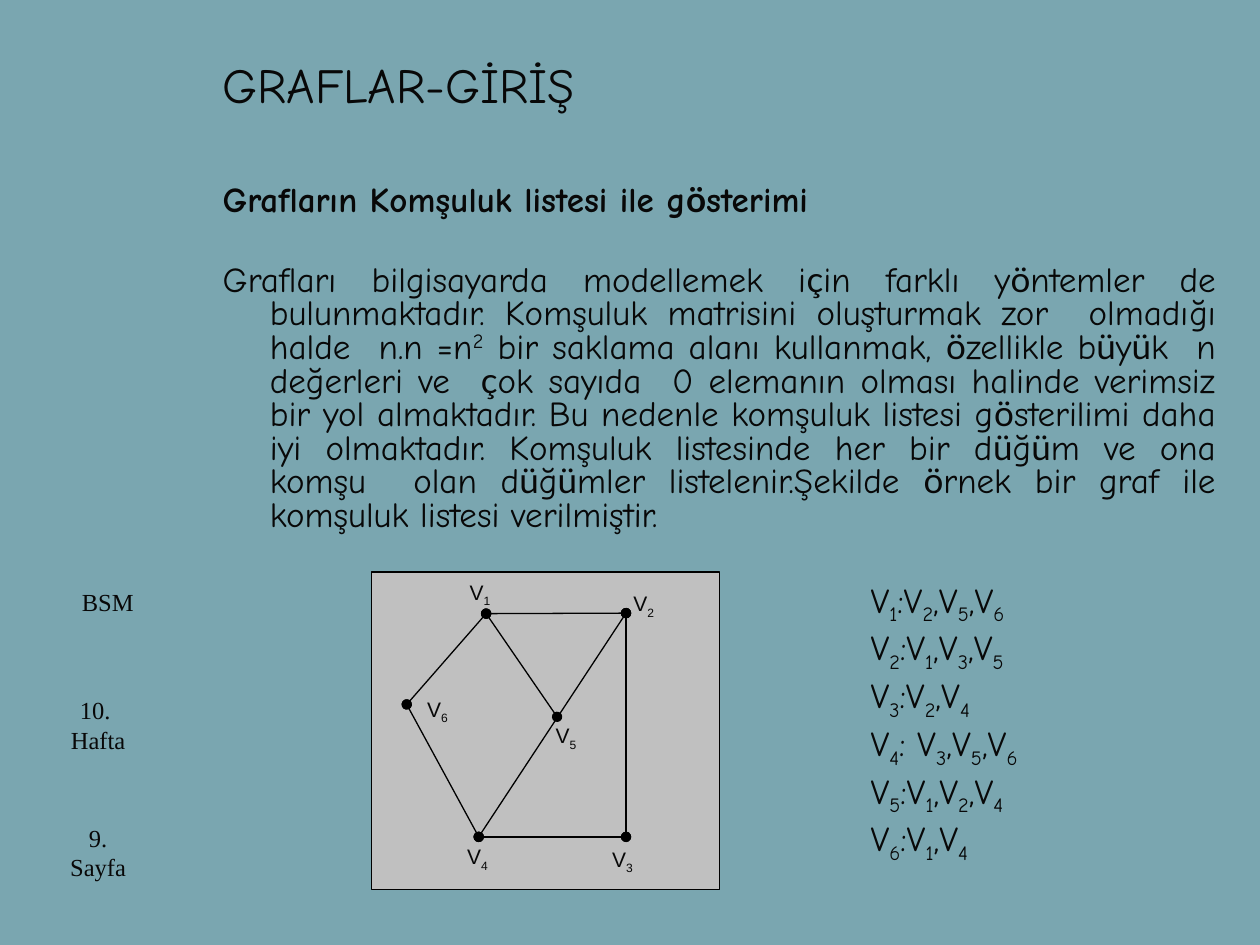
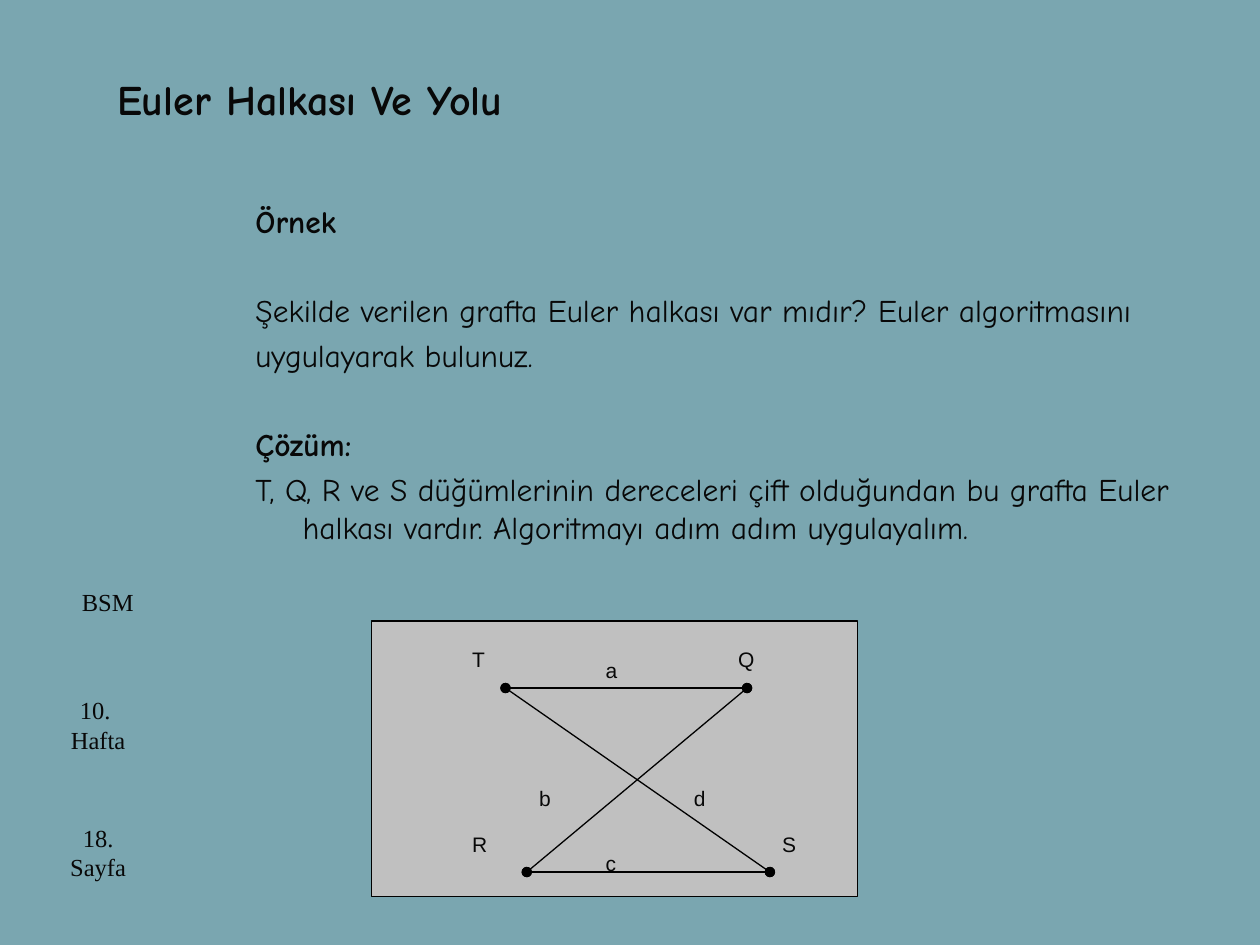
from itertools import groupby
from pptx import Presentation
from pptx.dml.color import RGBColor as RGB
from pptx.enum.shapes import MSO_CONNECTOR as LINK, MSO_SHAPE as SHAPE
from pptx.enum.text import MSO_ANCHOR as ANCHOR, PP_ALIGN as ALIGN
from pptx.oxml.ns import qn
from pptx.util import Cm, Pt
from lxml.etree import SubElement as Sub

TEAL = RGB(0x7A, 0xA6, 0xB0)
GREY = RGB(0xC0, 0xC0, 0xC0)
INK = RGB(0x08, 0x08, 0x08)
BLACK = RGB(0, 0, 0)
COMIC, LATO, ARIAL, TIMES = "Comic Neue", "Lato", "Arial", "Times New Roman"
LOW = "₁₂₃₄₅₆"
HIGH = "²"


def add_slide(deck):
    slide = deck.slides.add_slide(deck.slide_layouts[6])
    slide.background.fill.solid()
    slide.background.fill.fore_color.rgb = TEAL
    return slide


def add_runs(par, text, size, face, bold=False, odd=""):
    def kind(char):
        if char in LOW:
            return "low"
        if char in HIGH:
            return "high"
        return "odd" if char in odd else "plain"

    for sort, chars in groupby(text, kind):
        run = par.add_run()
        run.text = "".join(chars)
        if sort == "low":
            run.text = "".join(str(LOW.index(char) + 1) for char in run.text)
            run._r.get_or_add_rPr().set("baseline", "-25000")
        elif sort == "high":
            run.text = "2"
            run._r.get_or_add_rPr().set("baseline", "30000")
        font = run.font
        font.name = LATO if sort == "odd" else face
        font.size = Pt(size)
        font.bold = bold
        font.color.rgb = INK


def add_box(shapes, area, wrap=True):
    frame = shapes.add_textbox(*map(Cm, area)).text_frame
    frame.word_wrap = wrap
    return frame


def add_text(shapes, area, lines, size, face, bold=False, wrap=True, align=None):
    frame = add_box(shapes, area, wrap)
    for at, line in enumerate(lines):
        par = frame.add_paragraph() if at else frame.paragraphs[0]
        par.alignment = align
        add_runs(par, line, size, face, bold)
    return frame


def add_body(slide, area, items, size, align=None, pitch=None, odd=""):
    frame = add_box(slide.shapes, area)
    for at, (text, bold, gap) in enumerate(items):
        par = frame.add_paragraph() if at else frame.paragraphs[0]
        props = par._p.get_or_add_pPr()
        props.set("marL", str(Cm(0.95)))
        props.set("indent", str(Cm(-0.95)))
        par.alignment = align
        par.line_spacing = pitch
        par.space_before = Pt(gap)
        add_runs(par, text, size, COMIC, bold, odd)


def add_edge(shapes, start, end):
    edge = shapes.add_connector(LINK.STRAIGHT, *map(Cm, start + end))
    edge.line.color.rgb = BLACK
    edge.line.width = Pt(0.75)
    line = edge.line._get_or_add_ln()
    for tag in ("a:headEnd", "a:tailEnd"):
        Sub(line, qn(tag)).set("type", "oval")
    Sub(edge._element.spPr, qn("a:effectLst"))


def add_graph(slide, area, nodes, edges, labels, size):
    shapes = slide.shapes.add_group_shape().shapes
    panel = shapes.add_shape(SHAPE.RECTANGLE, *map(Cm, area))
    panel.shadow.inherit = False
    panel.fill.solid()
    panel.fill.fore_color.rgb = GREY
    panel.line.color.rgb = BLACK
    panel.line.width = Pt(0.75)
    for start, end in edges:
        add_edge(shapes, nodes[start], nodes[end])
    for name, spot in labels.items():
        add_text(shapes, spot + size, [name], 12, ARIAL)


def add_foot(slide, page):
    for area, text, align in (
        ((0.99, 13.89, 1.98, 1.78), "10.  Hafta", ALIGN.CENTER),
        ((0.99, 16.46, 1.98, 1.57), f"{page}. Sayfa", ALIGN.CENTER),
        ((1.4, 11.71, 1.57, 0.86), "BSM", None),
    ):
        add_text(slide.shapes, area, [text], 14, TIMES, align=align)


def add_intro(deck):
    slide = add_slide(deck)
    title = add_text(slide.shapes, (4.24, 0.2, 20.5, 2.97), ["GRAFLAR-GİRİŞ"], 28, COMIC)
    title.vertical_anchor = ANCHOR.MIDDLE
    prose = (
        "Grafları bilgisayarda modellemek için farklı yöntemler de bulunmaktadır. "
        "Komşuluk matrisini oluşturmak zor  olmadığı halde  n.n =n² bir saklama alanı "
        "kullanmak, özellikle büyük  n değerleri ve  çok sayıda  0 elemanın olması "
        "halinde verimsiz bir yol almaktadır. Bu nedenle komşuluk listesi gösterilimi "
        "daha iyi olmaktadır. Komşuluk listesinde her bir düğüm ve ona komşu  olan "
        "düğümler listelenir.Şekilde örnek bir graf ile komşuluk listesi verilmiştir."
    )
    items = [("Grafların Komşuluk listesi ile gösterimi", True, 0), (prose, False, 26.5)]
    add_body(slide, (4.24, 3.61, 20.52, 8), items, 20, ALIGN.JUSTIFY, 0.8, "çöü")
    nodes = {
        1: (9.8, 12.37), 2: (12.62, 12.36), 3: (12.62, 16.87),
        4: (9.65, 16.87), 5: (11.23, 14.45), 6: (8.2, 14.2),
    }
    edges = [(1, 2), (2, 3), (3, 4), (4, 2), (1, 5), (1, 6), (6, 4)]
    labels = {
        "V₁": (9.22, 11.56), "V₂": (12.52, 11.79), "V₆": (8.36, 13.92),
        "V₅": (10.95, 14.45), "V₄": (9.17, 16.89), "V₃": (12.09, 16.94),
    }
    add_graph(slide, (7.49, 11.53, 7.01, 6.4), nodes, edges, labels, (1.45, 0.89))
    lists = ["V₁:V₂,V₅,V₆", "V₂:V₁,V₃,V₅", "V₃:V₂,V₄",
             "V₄: V₃,V₅,V₆", "V₅:V₁,V₂,V₄", "V₆:V₁,V₄"]
    add_text(slide.shapes, (17.3, 11.53, 5.38, 6.3), lists, 20, COMIC)
    add_foot(slide, 9)


def add_euler(deck):
    slide = add_slide(deck)
    items = [
        ("Örnek", True, 0),
        ("Şekilde verilen grafta Euler halkası var mıdır? Euler algoritmasını", False, 29.4),
        ("uygulayarak bulunuz.", False, 4.2),
        ("Çözüm:", True, 29.4),
        ("T, Q, R ve S düğümlerinin dereceleri çift olduğundan bu grafta Euler "
         "halkası vardır. Algoritmayı adım adım uygulayalım.", False, 4.2),
    ]
    add_body(slide, (4.9, 3.94, 19.25, 13.11), items, 18)
    nodes = {"T": (10.19, 13.87), "Q": (15.06, 13.87), "R": (10.62, 17.58), "S": (15.52, 17.58)}
    labels = {
        "a": (11.96, 13.13), "b": (10.62, 15.72), "d": (13.74, 15.72), "c": (11.96, 17.02),
        "T": (9.27, 12.9), "Q": (14.63, 12.9), "R": (9.27, 16.64), "S": (15.52, 16.64),
    }
    edges = ["TQ", "QR", "RS", "ST"]
    add_graph(slide, (7.49, 12.52, 9.8, 5.56), nodes, edges, labels, (1.78, 1.12))
    add_foot(slide, 18)
    add_text(slide.shapes, (2.11, 1.35, 9.32, 1.27), ["Euler Halkası Ve Yolu"],
             24, COMIC, bold=True, wrap=False)


def main():
    deck = Presentation()
    deck.slide_width, deck.slide_height = Cm(25.4), Cm(19.05)
    add_intro(deck)
    add_euler(deck)
    deck.save("out.pptx")


if __name__ == "__main__":
    main()
